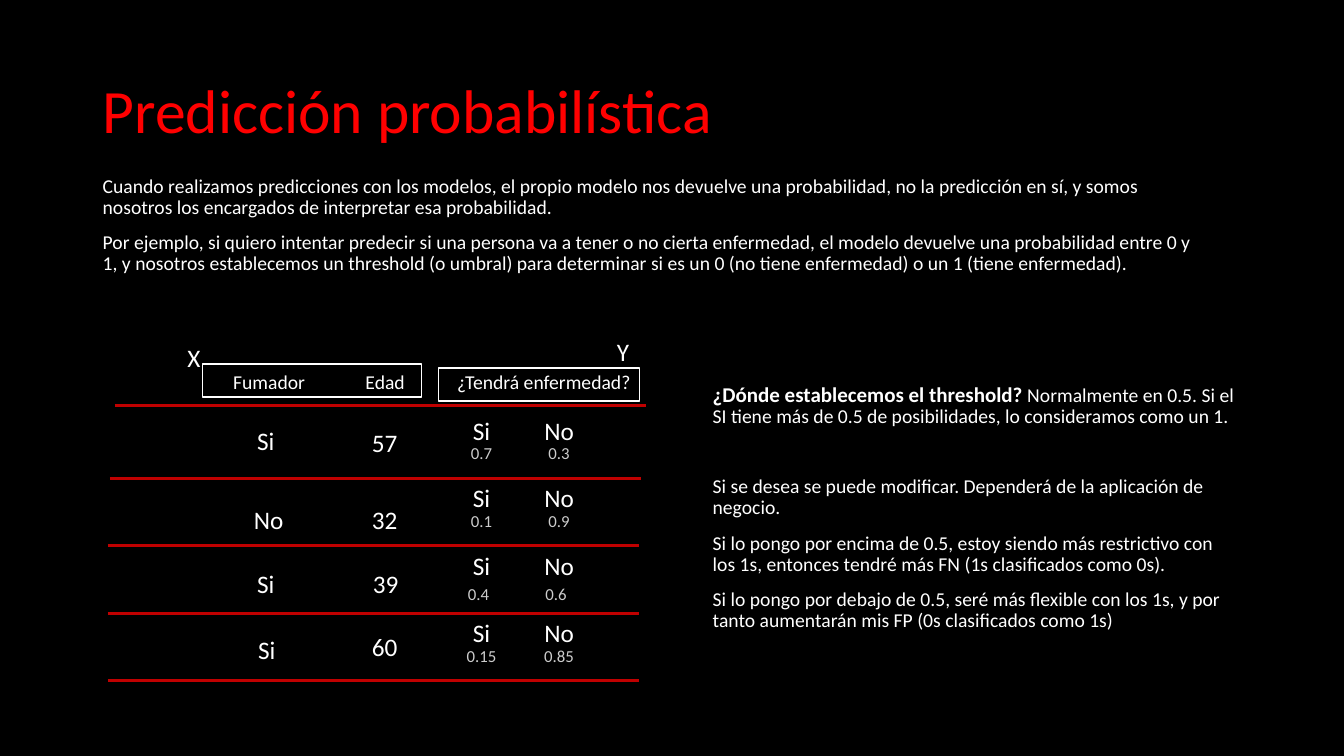
from dataclasses import dataclass

from lxml.etree import SubElement
from pptx import Presentation
from pptx.dml.color import RGBColor
from pptx.enum.shapes import MSO_CONNECTOR, MSO_SHAPE
from pptx.enum.text import MSO_ANCHOR, PP_ALIGN
from pptx.oxml.ns import qn
from pptx.util import Inches, Pt


@dataclass(frozen=True)
class Theme:
    font: str = "Calibri"
    back: str = "000000"
    title: str = "FF0000"
    text: str = "FFFFFF"
    muted: str = "CCCCCC"
    rule: str = "C00000"
    head: int = 44
    value: int = 18
    lead: int = 15
    body: int = 14
    small: int = 12


class Board:
    """Holds the theme and the slide being drawn."""

    def __init__(self, slide, theme):
        self.slide, self.theme = slide, theme
        fill = slide.background.fill
        fill.solid()
        fill.fore_color.rgb = RGBColor.from_string(theme.back)

    def text(self, box, paras, size, color=None, align=PP_ALIGN.LEFT,
             anchor=MSO_ANCHOR.TOP, lines=1.0):
        """Each paragraph is (space before, [(words, run format), ...])."""
        frame = self.slide.shapes.add_textbox(*map(Inches, box)).text_frame
        frame.word_wrap = True
        frame.vertical_anchor = anchor
        for i, (gap, runs) in enumerate(paras):
            para = frame.paragraphs[0] if i == 0 else frame.add_paragraph()
            form = {"alignment": align, "line_spacing": lines,
                    "space_before": Pt(gap)}
            for name, value in form.items():
                setattr(para, name, value)
            for words, extra in runs:
                run = para.add_run()
                run.text = words
                form = {"name": self.theme.font, "size": Pt(size), **extra}
                for name, value in form.items():
                    setattr(run.font, name, value)
                run.font.color.rgb = RGBColor.from_string(
                    color or self.theme.text)

    def label(self, box, words, size, color=None, align=PP_ALIGN.CENTER):
        self.text(box, [(0, [(words, {})])], size, color, align)

    def cell(self, left, top, words, size, color=None):
        self.label((left, top, 0.59, 0.4), words, size, color)

    def frame(self, box):
        shape = self.slide.shapes.add_shape(
            MSO_SHAPE.RECTANGLE, *map(Inches, box))
        shape.shadow.inherit = False
        shape.fill.background()
        shape.line.color.rgb = RGBColor.from_string(self.theme.text)
        shape.line.width = Pt(1)

    def rule(self, left, top, width):
        line = self.slide.shapes.add_connector(
            MSO_CONNECTOR.STRAIGHT, Inches(left), Inches(top),
            Inches(left + width), Inches(top))
        line.line.color.rgb = RGBColor.from_string(self.theme.rule)
        line.line.width = Pt(2.25)
        SubElement(line._element.spPr, qn("a:effectLst"))


INTRO = [
    "Cuando realizamos predicciones con los modelos, el propio modelo nos "
    "devuelve una probabilidad, no la predicción en sí, y somos nosotros los "
    "encargados de interpretar esa probabilidad.",
    "Por ejemplo, si quiero intentar predecir si una persona va a tener o no "
    "cierta enfermedad, el modelo devuelve una probabilidad entre 0 y 1, y "
    "nosotros establecemos un threshold (o umbral) para determinar si es un 0 "
    "(no tiene enfermedad) o un 1 (tiene enfermedad).",
]
ASK = "¿Dónde establecemos el threshold?"
REPLY = (" Normalmente en 0.5. Si el SI tiene más de 0.5 de posibilidades, "
         "lo consideramos como un 1.")
NOTES = [
    (35, "Si se desea se puede modificar. Dependerá de la aplicación de "
         "negocio."),
    (10, "Si lo pongo por encima de 0.5, estoy siendo más restrictivo con los "
         "1s, entonces tendré más FN (1s clasificados como 0s)."),
    (10, "Si lo pongo por debajo de 0.5, seré más flexible con los 1s, y por "
         "tanto aumentarán mis FP (0s clasificados como 1s)"),
]
# Smoker and age as (words, left, top); odds as (yes, no, left, top)
ROWS = [
    (("Si", 2.34, 4.17), ("57", 3.52, 4.19), ("0.7", "0.3", 4.48, 4.34)),
    (("No", 2.37, 4.95), ("32", 3.52, 4.95), ("0.1", "0.9", 4.48, 5.02)),
    (("Si", 2.34, 5.59), ("39", 3.53, 5.59), ("0.4", "0.6", 4.45, 5.74)),
    (("Si", 2.35, 6.24), ("60", 3.52, 6.21), ("0.15", "0.85", 4.48, 6.36)),
]
RULES = [(1.14, 4.02), (1.09, 4.75), (1.07, 5.41), (1.07, 6.09), (1.07, 6.75)]
YES, STEP = 4.48, 0.77


def main():
    deck = Presentation()
    deck.slide_width, deck.slide_height = Inches(13.33), Inches(7.5)
    look = Theme()
    board = Board(deck.slides.add_slide(deck.slide_layouts[6]), look)

    # Title and introduction
    board.text((0.92, 0.4, 11.5, 1.45),
               [(0, [("Predicción probabilística", {})])], look.head,
               look.title, anchor=MSO_ANCHOR.MIDDLE, lines=0.9)
    board.text((0.92, 1.7, 11.15, 1.59),
               [(10 * i, [(words, {})]) for i, words in enumerate(INTRO)],
               look.body, lines=0.9)

    # Column heads with their frames and the X and Y marks
    for words, left, width in (("Fumador", 1.9, 1.54), ("Edad", 3.21, 1.22),
                               ("¿Tendrá enfermedad?", 4.31, 2.17)):
        board.label((left, 3.62, width, 0.34), words, look.body)
    board.frame((2.01, 3.61, 2.17, 0.33))
    board.frame((4.35, 3.65, 1.99, 0.33))
    for words, left, top in (("X", 1.76, 3.35), ("Y", 6.02, 3.29)):
        board.label((left, top, 0.5, 0.4), words, look.value,
                    align=PP_ALIGN.LEFT)

    # Row rules
    for left, top in RULES:
        board.rule(left, top, 5.27)

    # Values and odds of each person
    for i, (smoker, age, (yes, no, x, y)) in enumerate(ROWS):
        for words, left, top in (smoker, age):
            board.cell(left, top, words, look.value)
        for j, (name, odds) in enumerate((("Si", yes), ("No", no))):
            board.cell(YES + STEP * j, 4.07 + 0.67 * i, name, look.value)
            board.cell(x + STEP * j, y, odds, look.small, look.muted)

    # Threshold notes
    first = (0, [(ASK, {"bold": True, "size": Pt(look.lead)}), (REPLY, {})])
    board.text((6.97, 3.76, 5.39, 3.05),
               [first] + [(gap, [(words, {})]) for gap, words in NOTES],
               look.body, lines=0.9)

    deck.save("out.pptx")


if __name__ == "__main__":
    main()
